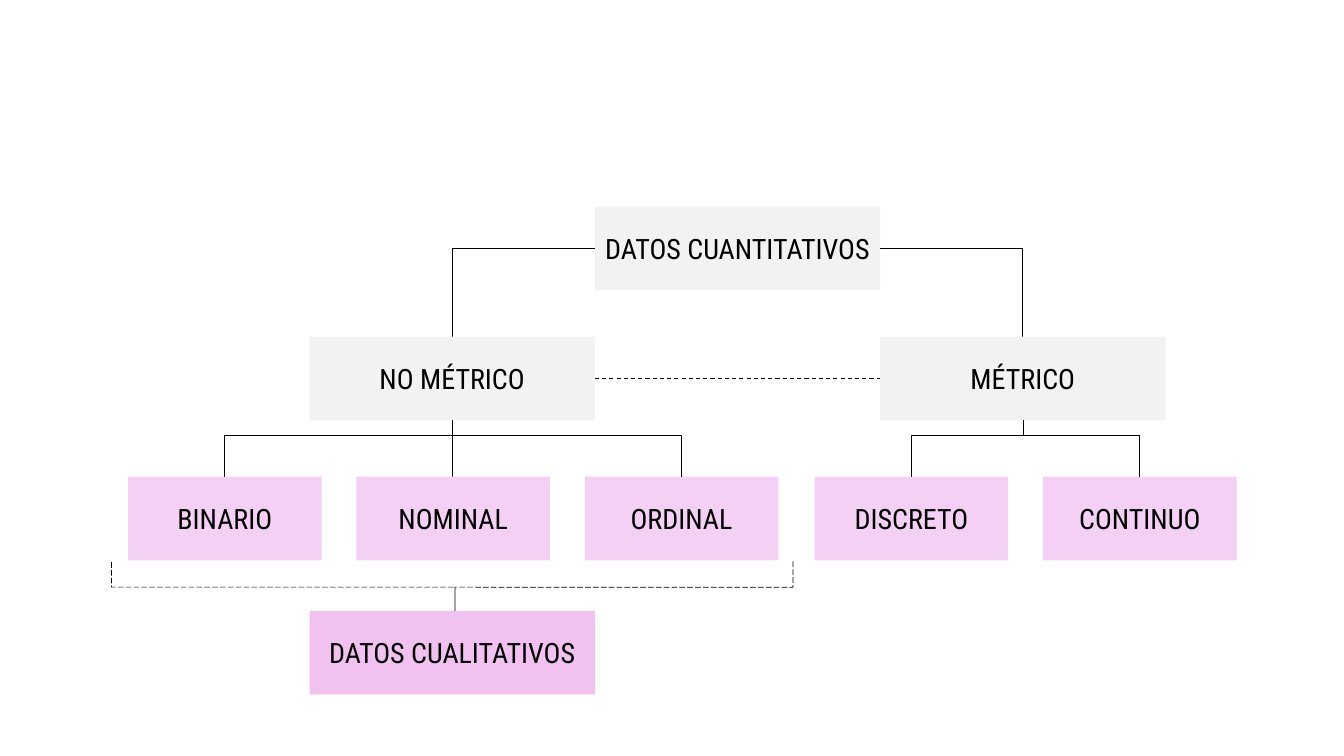
from dataclasses import dataclass

from lxml.etree import SubElement
from pptx import Presentation
from pptx.dml.color import RGBColor as Color
from pptx.enum.dml import MSO_LINE as Dash
from pptx.enum.shapes import MSO_CONNECTOR as Link, MSO_SHAPE as Preset
from pptx.enum.text import MSO_ANCHOR as Anchor, PP_ALIGN as Align
from pptx.oxml.ns import qn
from pptx.util import Inches, Pt


@dataclass(frozen=True)
class Theme:
    font: str = "Roboto Condensed"
    size: float = 20
    ink: str = "000000"
    branch: str = "F2F2F2"
    leaf: str = "F3D0F4"
    summary: str = "F1C2F0"
    thin: float = 0.5
    medium: float = 0.75


@dataclass(frozen=True)
class Box:
    left: float
    top: float
    width: float
    height: float

    @property
    def right(self):
        return self.left + self.width

    @property
    def bottom(self):
        return self.top + self.height

    @property
    def center(self):
        return self.left + self.width / 2

    @property
    def middle(self):
        return self.top + self.height / 2


THEME = Theme()
SLIDE_WIDTH, SLIDE_HEIGHT = 13.33, 7.5

# Grid: wide columns for branches, narrow ones for leaves
GRID_LEFT, WIDE = 3.07, 2.83
NARROW, LEAF_PITCH = 1.92, 2.265
ROW_HEIGHT = 0.83
ROOT_ROW, BRANCH_ROW, LEAF_ROW, SUMMARY_ROW = 2.05, 3.34, 4.73, 6.06
BUS_DROP = 0.15


def wide_box(column, row):
    return Box(GRID_LEFT + column * WIDE, row, WIDE, ROW_HEIGHT)


def add_node(slide, box, text, fill):
    node = slide.shapes.add_shape(
        Preset.RECTANGLE, Inches(box.left), Inches(box.top),
        Inches(box.width), Inches(box.height))
    node.shadow.inherit = False
    node.fill.solid()
    node.fill.fore_color.rgb = Color.from_string(fill)
    node.line.fill.background()
    frame = node.text_frame
    frame.word_wrap = False
    frame.vertical_anchor = Anchor.MIDDLE
    para = frame.paragraphs[0]
    para.text = text
    para.alignment = Align.CENTER
    para.font.name = THEME.font
    para.font.size = Pt(THEME.size)
    para.font.color.rgb = Color.from_string(THEME.ink)


def style_line(line, width, dash=None):
    line.color.rgb = Color.from_string(THEME.ink)
    line.width = Pt(width)
    if dash is not None:
        line.dash_style = dash


def add_link(slide, start, end, kind=Link.STRAIGHT, width=THEME.thin, dash=None):
    link = slide.shapes.add_connector(
        kind, *(Inches(value) for value in (*start, *end)))
    style_line(link.line, width, dash)
    properties = link._element.spPr
    SubElement(properties, qn("a:effectLst"))
    if kind == Link.ELBOW:
        # One bend: across first, then down
        properties.find(qn("a:prstGeom")).set("prst", "bentConnector2")


def add_root(slide, box, children):
    add_node(slide, box, "DATOS CUANTITATIVOS", THEME.branch)
    left, right = children
    for edge, child in ((box.left, left), (box.right, right)):
        add_link(slide, (edge, box.middle), (child.center, child.top), Link.ELBOW)
    add_link(slide, (left.right, left.middle), (right.left, right.middle),
             width=THEME.medium, dash=Dash.DASH)


def add_branch(slide, box, title, leaves, first_left):
    add_node(slide, box, title, THEME.branch)
    bus = box.bottom + BUS_DROP
    # An odd number of leaves has one straight below the branch
    stem_end = LEAF_ROW if len(leaves) % 2 else bus
    add_link(slide, (box.center, box.bottom), (box.center, stem_end))
    for index, text in enumerate(leaves):
        leaf = Box(first_left + index * LEAF_PITCH, LEAF_ROW, NARROW, ROW_HEIGHT)
        add_node(slide, leaf, text, THEME.leaf)
        if index in (0, len(leaves) - 1):
            add_link(slide, (box.center, bus), (leaf.center, leaf.top), Link.ELBOW)


def add_summary(slide, box):
    # Square brace, turned to open upwards above the summary
    depth, span = 0.51, 6.76
    brace = slide.shapes.add_shape(
        Preset.RIGHT_BRACE, Inches(box.center - depth / 2),
        Inches(box.top - (depth + span) / 2 + 0.02), Inches(depth), Inches(span))
    brace.rotation = 90
    brace.adjustments[0] = 0
    brace.adjustments[1] = 0.496
    brace.shadow.inherit = False
    brace.fill.background()
    style_line(brace.line, THEME.thin, Dash.LONG_DASH)
    add_node(slide, box, "DATOS CUALITATIVOS", THEME.summary)


def build_data_types_slide(deck):
    slide = deck.slides.add_slide(deck.slide_layouts[6])
    non_metric, metric = wide_box(0, BRANCH_ROW), wide_box(2, BRANCH_ROW)
    add_root(slide, wide_box(1, ROOT_ROW), (non_metric, metric))
    add_branch(slide, non_metric, "NO MÉTRICO",
               ("BINARIO", "NOMINAL", "ORDINAL"), 1.27)
    add_branch(slide, metric, "MÉTRICO", ("DISCRETO", "CONTINUO"), 8.08)
    add_summary(slide, wide_box(0, SUMMARY_ROW))


def main():
    deck = Presentation()
    deck.slide_width, deck.slide_height = Inches(SLIDE_WIDTH), Inches(SLIDE_HEIGHT)
    build_data_types_slide(deck)
    deck.save("out.pptx")


if __name__ == "__main__":
    main()
